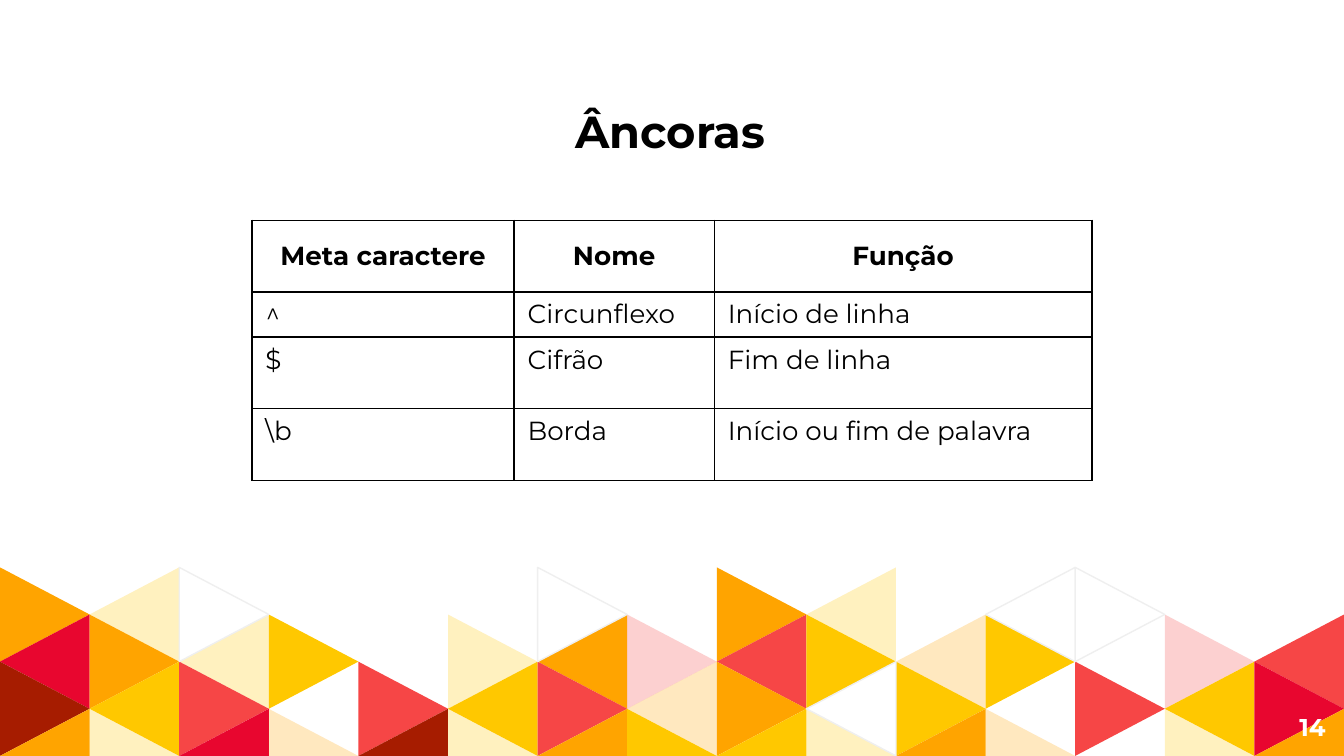
from dataclasses import dataclass

from lxml import etree
from pptx import Presentation
from pptx.dml.color import RGBColor
from pptx.enum.text import MSO_ANCHOR, MSO_AUTO_SIZE, PP_ALIGN
from pptx.oxml.ns import qn
from pptx.util import Pt

LEFT, CENTER, RIGHT = PP_ALIGN.LEFT, PP_ALIGN.CENTER, PP_ALIGN.RIGHT
TOP, MIDDLE = MSO_ANCHOR.TOP, MSO_ANCHOR.MIDDLE
GROW = MSO_AUTO_SIZE.SHAPE_TO_FIT_TEXT


@dataclass(frozen=True)
class Theme:
    font: str = "Montserrat"
    ink: str = "000000"
    paper: str = "FFFFFF"
    outline: str = "EFEFEF"
    orange: str = "FFA400"
    yellow: str = "FFC800"
    coral: str = "F64646"
    crimson: str = "E8062F"
    brick: str = "A61C00"
    title_size: float = 24
    table_size: float = 14
    number_size: float = 13
    line_width: float = 0.75
    tint_percent: int = 25


THEME = Theme()

# Mosaic: one letter per triangle, lower case = tinted, W = outlined white
MOSAIC = [
    "OyW...W.Oy.WW..",
    "COyY.yOrRYoY.rR",
    "BYR.RYRoOWY.RYC",
    "OyCoByOYYyOo.yO",
]
MOSAIC_COLORS = {
    "O": THEME.orange, "Y": THEME.yellow, "R": THEME.coral,
    "C": THEME.crimson, "B": THEME.brick, "W": THEME.paper,
}
MOSAIC_TOP, TILE_WIDTH, TILE_STEP = 304, 48, 25.25

ANCHORS = [
    ("Meta caractere", "Nome", "Função"),
    ("^", "Circunflexo", "Início de linha"),
    ("$", "Cifrão", "Fim de linha"),
    ("\\b", "Borda", "Início ou fim de palavra"),
]
COLUMN_WIDTHS = [140.4, 107.3, 202.3]
ROW_HEIGHTS = [38.4, 24.2, 38.4, 38.4]


def write_text(frame, text, *, size, bold=False, color=THEME.ink,
               align=LEFT, anchor=TOP):
    frame.vertical_anchor = anchor
    paragraph = frame.paragraphs[0]
    paragraph.alignment = align
    run = paragraph.add_run()
    run.text = text
    run.font.name = THEME.font
    run.font.size = Pt(size)
    run.font.bold = bold
    run.font.color.rgb = RGBColor.from_string(color)


def add_triangle(slide, column, level, code):
    """Triangles point right or left in turn; the lowest row is cut in half."""
    base, tip = (column, column + 1) if (column + level) % 2 == 0 else (column + 1, column)
    bottom = min(level + 2, len(MOSAIC))
    corners = [(Pt(x * TILE_WIDTH), Pt(MOSAIC_TOP + y * TILE_STEP))
               for x, y in ((base, level), (tip, level + 1), (base, bottom))]
    builder = slide.shapes.build_freeform(*corners[0])
    builder.add_line_segments(corners[1:], close=True)
    triangle = builder.convert_to_shape()
    triangle.shadow.inherit = False
    triangle.fill.solid()
    triangle.fill.fore_color.rgb = RGBColor.from_string(MOSAIC_COLORS[code.upper()])
    if code.islower():
        color = triangle.fill._xPr.find(".//" + qn("a:srgbClr"))
        etree.SubElement(color, qn("a:alpha"), val=str(THEME.tint_percent * 1000))
    if code == "W":
        triangle.line.color.rgb = RGBColor.from_string(THEME.outline)
        triangle.line.width = Pt(THEME.line_width)
    else:
        triangle.line.fill.background()


def add_mosaic(slide):
    tiles = [(column, level, code) for level, row in enumerate(MOSAIC)
             for column, code in enumerate(row) if code != "."]
    # Outlined tiles go last so their edges stay visible
    for tile in sorted(tiles, key=lambda tile: tile[2] == "W"):
        add_triangle(slide, *tile)


def set_borders(cell):
    properties = cell._tc.get_or_add_tcPr()
    for position, side in enumerate(("a:lnL", "a:lnR", "a:lnT", "a:lnB")):
        border = etree.Element(qn(side), w=str(Pt(THEME.line_width)))
        fill = etree.SubElement(border, qn("a:solidFill"))
        etree.SubElement(fill, qn("a:srgbClr"), val=THEME.ink)
        properties.insert(position, border)


def add_anchor_table(slide):
    table = slide.shapes.add_table(
        len(ANCHORS), len(COLUMN_WIDTHS), Pt(135), Pt(118),
        Pt(sum(COLUMN_WIDTHS)), Pt(sum(ROW_HEIGHTS))).table
    table.first_row = table.horz_banding = False
    for column, width in zip(table.columns, COLUMN_WIDTHS):
        column.width = Pt(width)
    for row, height, texts in zip(table.rows, ROW_HEIGHTS, ANCHORS):
        row.height = Pt(height)
        header = texts is ANCHORS[0]
        for cell, text in zip(row.cells, texts):
            cell.fill.background()
            set_borders(cell)
            write_text(cell.text_frame, text, size=THEME.table_size, bold=header,
                       align=CENTER if header else LEFT)
            cell.vertical_anchor = MIDDLE if header else TOP


def add_title(slide, text):
    frame = slide.shapes.add_textbox(Pt(301), Pt(52), Pt(118), Pt(36)).text_frame
    frame.word_wrap = False
    frame.auto_size = GROW
    write_text(frame, text, size=THEME.title_size, bold=True)


def add_page_number(slide, text):
    frame = slide.shapes.add_textbox(Pt(673.2), Pt(374), Pt(44), Pt(31)).text_frame
    frame.word_wrap = True
    frame.margin_top = frame.margin_bottom = Pt(7.2)
    write_text(frame, text, size=THEME.number_size, bold=True,
               color=THEME.paper, align=RIGHT, anchor=MIDDLE)


def main():
    deck = Presentation()
    deck.slide_width, deck.slide_height = Pt(720), Pt(405)
    slide = deck.slides.add_slide(deck.slide_layouts[6])
    add_mosaic(slide)
    add_page_number(slide, "14")
    add_anchor_table(slide)
    add_title(slide, "Âncoras")
    deck.save("out.pptx")


if __name__ == "__main__":
    main()
